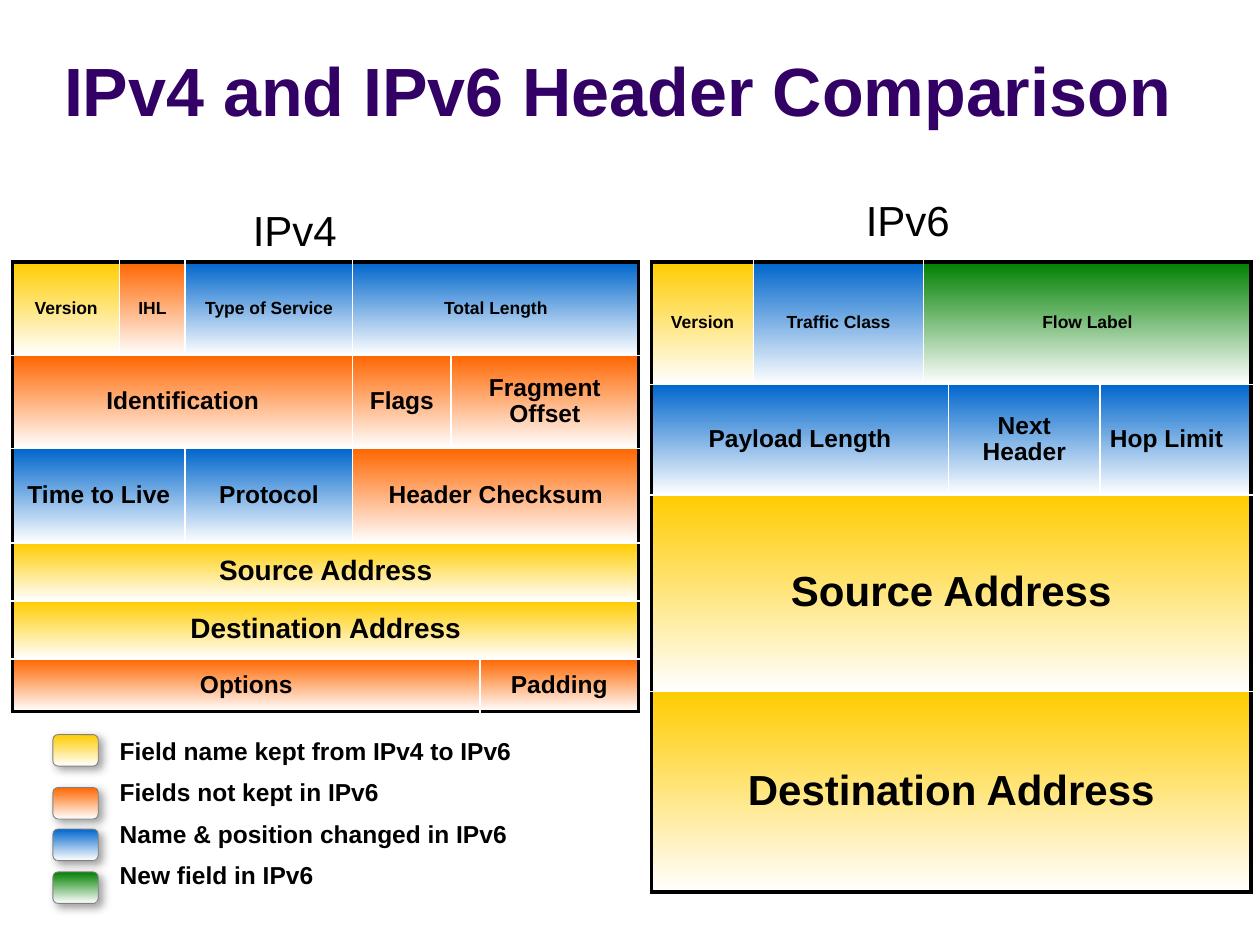
from pptx import Presentation
from pptx.dml.color import RGBColor
from pptx.enum.shapes import MSO_SHAPE as SHAPE
from pptx.enum.text import MSO_ANCHOR as ANCHOR, PP_ALIGN as ALIGN
from pptx.oxml import parse_xml
from pptx.oxml.ns import nsdecls, qn
from pptx.util import Inches, Pt

YELLOW = RGBColor(0xFF, 0xCC, 0x00)
ORANGE = RGBColor(0xFF, 0x66, 0x00)
BLUE = RGBColor(0x00, 0x66, 0xCC)
GREEN = RGBColor(0x00, 0x80, 0x00)
PURPLE = RGBColor(0x33, 0x00, 0x66)
GRAY = RGBColor(0x80, 0x80, 0x80)
BLACK = RGBColor(0, 0, 0)
WHITE = RGBColor(0xFF, 0xFF, 0xFF)

# Each row: font size, then (field, colour, columns spanned)
IPV4_COLS = [0.85, 0.52, 1.33, 0.78, 0.23, 1.26]
IPV4_HEIGHTS = [0.74, 0.74, 0.75, 0.46, 0.46, 0.42]
IPV4_ROWS = [
    (10, [("Version", YELLOW, 1), ("IHL", ORANGE, 1),
          ("Type of Service", BLUE, 1), ("Total Length", BLUE, 3)]),
    (14, [("Identification", ORANGE, 3), ("Flags", ORANGE, 1),
          ("Fragment Offset", ORANGE, 2)]),
    (14, [("Time to Live", BLUE, 2), ("Protocol", BLUE, 1),
          ("Header Checksum", ORANGE, 3)]),
    (16, [("Source Address", YELLOW, 6)]),
    (16, [("Destination Address", YELLOW, 6)]),
    (14, [("Options", ORANGE, 5), ("Padding", ORANGE, 1)]),
]
IPV6_COLS = [0.81, 1.35, 0.18, 1.2, 1.2]
IPV6_HEIGHTS = [0.97, 0.88, 1.56, 1.59]
IPV6_ROWS = [
    (10, [("Version", YELLOW, 1), ("Traffic Class", BLUE, 1),
          ("Flow Label", GREEN, 3)]),
    (14, [("Payload Length", BLUE, 3), ("Next Header", BLUE, 1),
          ("Hop Limit", BLUE, 1)]),
    (24, [("Source Address", YELLOW, 5)]),
    (24, [("Destination Address", YELLOW, 5)]),
]
# Swatch offset from the top of the legend, colour, meaning
LEGEND = [
    (0.01, YELLOW, "Field name kept from IPv4 to IPv6"),
    (0.43, ORANGE, "Fields not kept in IPv6"),
    (0.76, BLUE, "Name & position changed in IPv6"),
    (1.10, GREEN, "New field in IPv6"),
]


def write(tf, *lines, size, color=BLACK, bold=False, align=ALIGN.LEFT,
          spacing=None, before=0, indent=0):
    for i, text in enumerate(lines):
        p = tf.paragraphs[0] if i == 0 else tf.add_paragraph()
        p.alignment = align
        if spacing:
            p.line_spacing = spacing
        if i and before:
            p.space_before = Pt(before)
        if indent:
            p._p.get_or_add_pPr().set("marL", str(Inches(indent)))
        r = p.add_run()
        r.text = text
        r.font.name = "Arial"
        r.font.size = Pt(size)
        r.font.bold = bold
        r.font.color.rgb = color


def text_box(slide, box, *lines, inset=0.08, anchor=ANCHOR.TOP, wrap=True, **fmt):
    tf = slide.shapes.add_textbox(*map(Inches, box)).text_frame
    tf.word_wrap = wrap
    tf.vertical_anchor = anchor
    tf.margin_left = tf.margin_right = Inches(inset)
    tf.margin_top = tf.margin_bottom = Inches(0.04)
    write(tf, *lines, **fmt)


def fade(fill, color):
    """Fill from the colour at the top to white at the bottom."""
    fill.gradient()
    fill.gradient_angle = 270
    for stop, rgb, position in zip(fill.gradient_stops, (color, WHITE), (0, 1)):
        stop.color.rgb = rgb
        stop.position = position


def set_borders(cell, left, right, top, bottom):
    """Outer edges are thick black, inner ones thin white."""
    tc_pr = cell._tc.get_or_add_tcPr()
    for side, outer in zip("LRTB", (left, right, top, bottom)):
        width, color = (2.25, BLACK) if outer else (1, WHITE)
        tc_pr.append(parse_xml(
            f'<a:ln{side} {nsdecls("a")} w="{Pt(width)}"><a:solidFill>'
            f'<a:srgbClr val="{color}"/></a:solidFill></a:ln{side}>'))


def header_table(slide, box, cols, heights, rows):
    table = slide.shapes.add_table(len(rows), len(cols), *map(Inches, box)).table
    table.first_row = table.horz_banding = False
    for column, width in zip(table.columns, cols):
        column.width = Inches(width)
    for row, height in zip(table.rows, heights):
        row.height = Inches(height)

    for y, (size, fields) in enumerate(rows):
        x = 0
        for name, color, span in fields:
            end = x + span
            cell = table.cell(y, x)
            if span > 1:
                cell.merge(table.cell(y, end - 1))
            for col in range(x, end):
                part = table.cell(y, col)
                set_borders(part, x == 0, end == len(cols),
                            y == 0, y == len(rows) - 1)
                fade(part.fill, color)
            cell.vertical_anchor = ANCHOR.MIDDLE
            cell.margin_left = cell.margin_right = Inches(0.08)
            cell.margin_top = cell.margin_bottom = Inches(0.04)
            align = ALIGN.LEFT if name == "Hop Limit" else ALIGN.CENTER
            write(cell.text_frame, name, size=size, bold=True,
                  align=align, spacing=0.95)
            x = end


def swatch(slide, box, color):
    sp = slide.shapes.add_shape(SHAPE.ROUNDED_RECTANGLE, *map(Inches, box))
    sp.shadow.inherit = False
    fade(sp.fill, color)
    sp.line.color.rgb = GRAY
    sp.line.width = Pt(0.5)
    # Soft shadow to the lower right
    sp._element.spPr.find(qn("a:effectLst")).append(parse_xml(
        f'<a:outerShdw {nsdecls("a")} blurRad="{Pt(5)}" dist="{Pt(3)}" '
        f'dir="2700000" algn="tl" rotWithShape="0"><a:srgbClr val="{GRAY}">'
        '<a:alpha val="75000"/></a:srgbClr></a:outerShdw>'))


def legend(slide, box):
    left, top, _, _ = box
    for offset, color, _ in LEGEND:
        swatch(slide, (left + 0.5, top + offset, 0.36, 0.25), color)
    text_box(slide, box, *(meaning for _, _, meaning in LEGEND), inset=0.09,
             size=14, bold=True, spacing=0.95, before=7.6, indent=0.94)


def main():
    prs = Presentation()
    prs.slide_width, prs.slide_height = Inches(10), Inches(7.5)
    slide = prs.slides.add_slide(prs.slide_layouts[6])

    # Title
    text_box(slide, (0.41, 0.34, 9.41, 0.73), "IPv4 and IPv6 Header Comparison",
             inset=0.1, anchor=ANCHOR.BOTTOM, size=39, color=PURPLE, bold=True)

    # Headers
    header_table(slide, (0.1, 2.08, 4.98, 3.58), IPV4_COLS, IPV4_HEIGHTS, IPV4_ROWS)
    header_table(slide, (5.17, 2.08, 4.75, 5), IPV6_COLS, IPV6_HEIGHTS, IPV6_ROWS)

    # Captions
    text_box(slide, (1.92, 1.58, 0.84, 0.48), "IPv4", wrap=False,
             size=24, align=ALIGN.CENTER)
    text_box(slide, (5.83, 1.5, 2.75, 0.48), "IPv6", size=24, align=ALIGN.CENTER)

    legend(slide, (-0.08, 5.82, 5.17, 1.34))
    prs.save("out.pptx")


if __name__ == "__main__":
    main()
